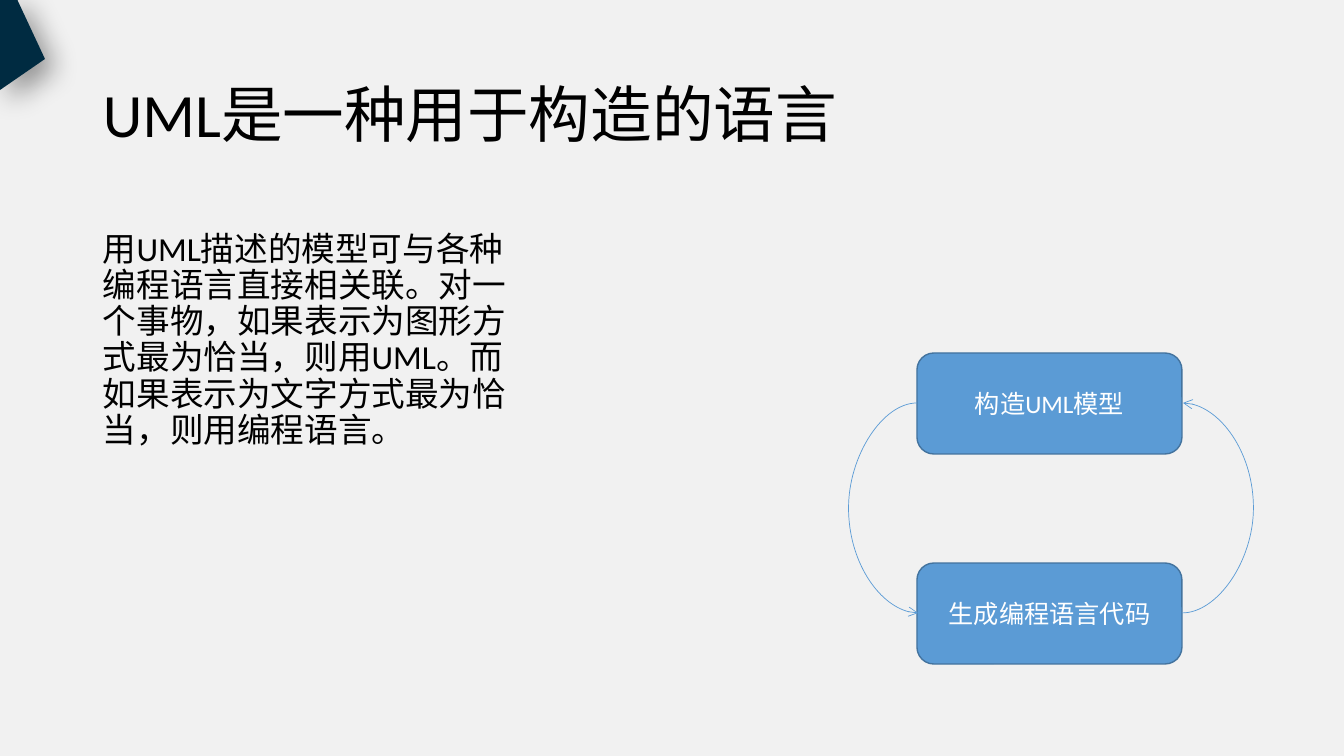
from lxml.etree import SubElement
from pptx import Presentation
from pptx.dml.color import RGBColor
from pptx.enum.shapes import MSO_CONNECTOR, MSO_SHAPE
from pptx.enum.text import MSO_ANCHOR, PP_ALIGN
from pptx.oxml.ns import qn
from pptx.util import Emu, Pt

WIDTH, HEIGHT = 1344, 756
SCALE = 12192000 / WIDTH


def px(length):
    """Turn px into EMU."""
    return Emu(round(length * SCALE))


def color(code):
    """Turn a hex string into a colour."""
    return RGBColor.from_string(code)


class SlideBuilder:
    """Hold the style and the current slide, and draw each kind of element."""

    FONT = "Calibri"
    INK, WHITE, PAPER = "000000", "FFFFFF", "F1F1F1"
    NAVY, BLUE, EDGE = "002B41", "5B9BD5", "43739E"

    def __init__(self, slide):
        """Start on a slide and paint its background."""
        self.slide = slide
        slide.background.fill.solid()
        slide.background.fill.fore_color.rgb = color(self.PAPER)

    def fill_frame(self, frame, text, size, ink, anchor):
        """Fill a text frame with one styled paragraph."""
        frame.word_wrap = True
        frame.vertical_anchor = anchor
        paragraph = frame.paragraphs[0]
        paragraph.text = text
        paragraph.font.name = self.FONT
        paragraph.font.size = Pt(size)
        paragraph.font.color.rgb = color(ink)
        return paragraph

    def text(self, box, text, size, anchor=MSO_ANCHOR.TOP, space_before=0):
        """Add a text box."""
        frame = self.slide.shapes.add_textbox(*map(px, box)).text_frame
        paragraph = self.fill_frame(frame, text, size, self.INK, anchor)
        paragraph.line_spacing = 0.9
        paragraph.space_before = Pt(space_before)

    def corner(self, points):
        """Add a dark outline with a soft shadow."""
        outline = self.slide.shapes.build_freeform(*points[0], scale=SCALE)
        outline.add_line_segments(points[1:], close=True)
        corner = outline.convert_to_shape()
        corner.fill.solid()
        corner.fill.fore_color.rgb = color(self.NAVY)
        corner.line.fill.background()
        corner.shadow.inherit = False
        effects = corner.element.spPr.find(qn("a:effectLst"))
        shadow = SubElement(effects, qn("a:outerShdw"), blurRad=str(Pt(20)),
                            dist=str(Pt(10)), dir=str(45 * 60000),
                            algn="tl", rotWithShape="0")
        shade = SubElement(shadow, qn("a:srgbClr"), val=self.INK)
        SubElement(shade, qn("a:alpha"), val="40000")

    def step(self, box, text):
        """Add a rounded box with centred text."""
        step = self.slide.shapes.add_shape(MSO_SHAPE.ROUNDED_RECTANGLE, *map(px, box))
        step.shadow.inherit = False
        step.fill.solid()
        step.fill.fore_color.rgb = color(self.BLUE)
        step.line.color.rgb = color(self.EDGE)
        step.line.width = Pt(1)
        paragraph = self.fill_frame(step.text_frame, text, 18, self.WHITE, MSO_ANCHOR.MIDDLE)
        paragraph.alignment = PP_ALIGN.CENTER

    def loop(self, x, start, end, bulge):
        """Add a curved arrow that swings sideways by the bulge."""
        arrow = self.slide.shapes.add_connector(
            MSO_CONNECTOR.CURVE, px(x), px(start), px(x + 1), px(end))
        arrow.line.color.rgb = color(self.BLUE)
        arrow.line.width = Pt(0.5)
        properties = arrow.element.spPr
        guides = properties.find(qn("a:prstGeom")).get_or_add_avLst()
        SubElement(guides, qn("a:gd"), name="adj1", fmla=f"val {bulge * 100000}")
        SubElement(properties.find(qn("a:ln")), qn("a:tailEnd"), type="arrow")
        SubElement(properties, qn("a:effectLst"))


def main():
    """Build and save the slide."""
    deck = Presentation()
    deck.slide_width, deck.slide_height = px(WIDTH), px(HEIGHT)
    page = SlideBuilder(deck.slides.add_slide(deck.slide_layouts[6]))

    page.text((93, 64, 993, 92), "UML是一种用于构造的语言", 44, MSO_ANCHOR.BOTTOM)
    page.text((93, 227, 433, 420),
              "用UML描述的模型可与各种编程语言直接相关联。对一个事物，"
              "如果表示为图形方式最为恰当，则用UML。"
              "而如果表示为文字方式最为恰当，则用编程语言。", 24, space_before=10)
    page.corner([(17, -1), (0, -1), (0, 90), (45, 59)])

    left, width, height = 917, 265, 101
    model_top, code_top = 353, 563
    for top, label in ((model_top, "构造UML模型"), (code_top, "生成编程语言代码")):
        page.step((left, top, width, height), label)
    model_middle, code_middle = model_top + height // 2, code_top + height // 2
    page.loop(left, model_middle, code_middle, -69)
    page.loop(left + width, code_middle, model_middle, 72)

    deck.save("out.pptx")


if __name__ == "__main__":
    main()
